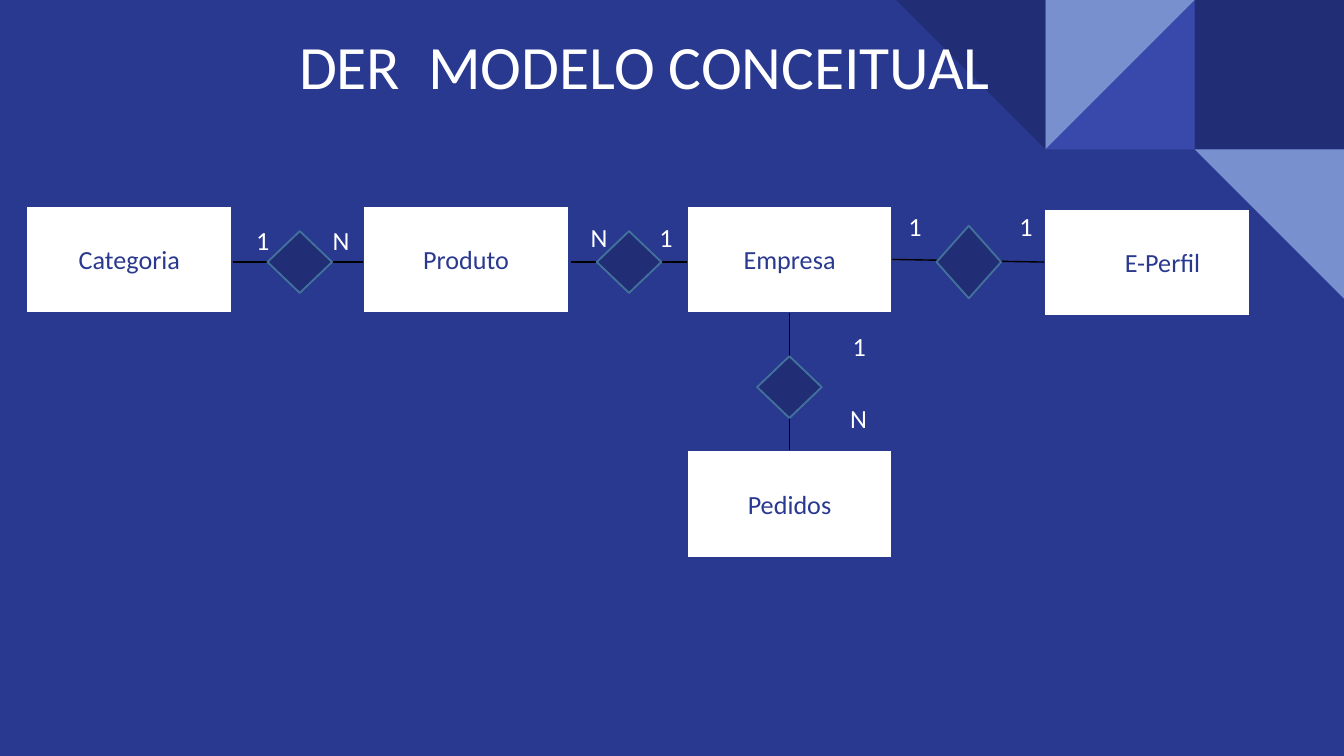
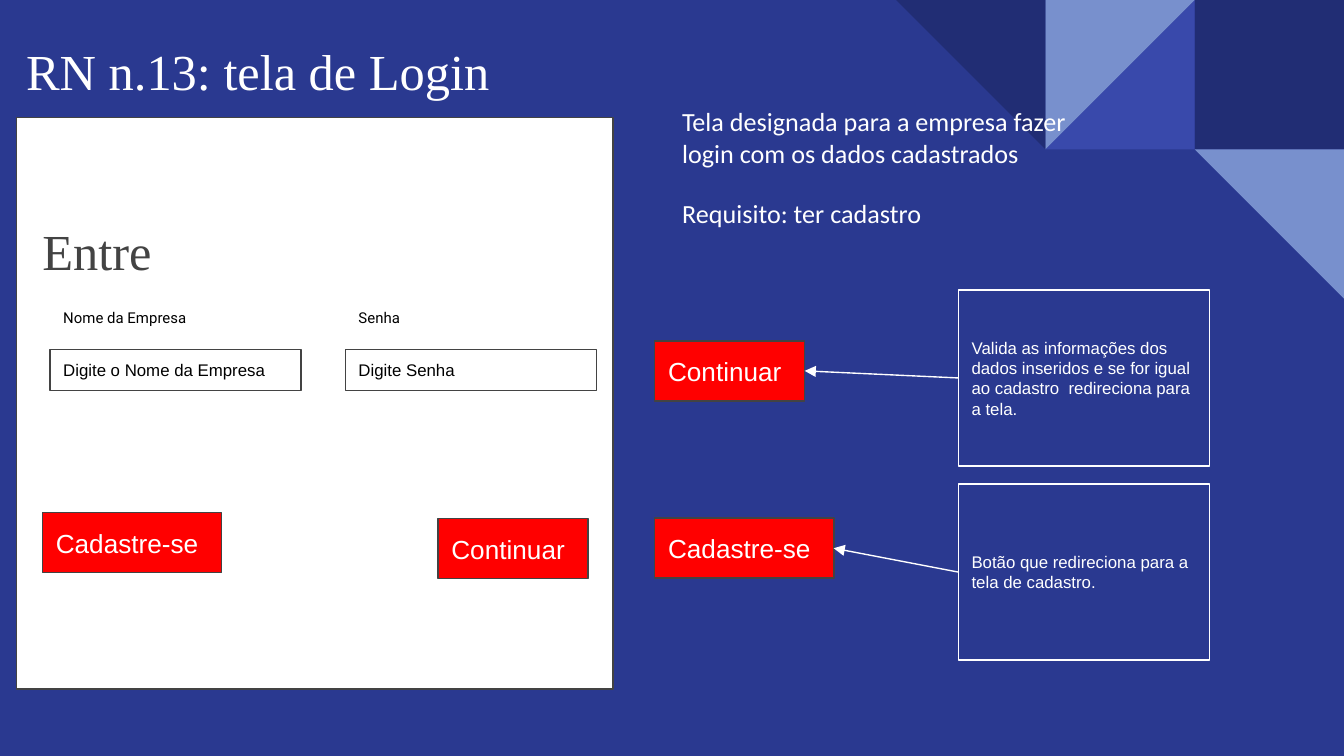
from lxml import etree
from pptx import Presentation
from pptx.dml.color import RGBColor
from pptx.enum.shapes import MSO_CONNECTOR, MSO_SHAPE
from pptx.enum.text import MSO_ANCHOR, PP_ALIGN
from pptx.oxml.ns import qn
from pptx.util import Pt

RECTANGLE = MSO_SHAPE.RECTANGLE
DIAMOND = MSO_SHAPE.DIAMOND
TRIANGLE = MSO_SHAPE.RIGHT_TRIANGLE
STRAIGHT = MSO_CONNECTOR.STRAIGHT
TOP, MIDDLE = MSO_ANCHOR.TOP, MSO_ANCHOR.MIDDLE
LEFT, CENTER = PP_ALIGN.LEFT, PP_ALIGN.CENTER

BLUE, NAVY, INDIGO, SKY = "2A3990", "212D74", "3949AB", "7890CD"
STEEL, GRAY, RED, WHITE, BLACK = "42719B", "434343", "FF0000", "FFFFFF", "000000"
SANS, SERIF, UI, CAPTION = "Calibri", "Times New Roman", "Arial", "Roboto"

TILE = 80
ENTITY_SIZE = (110.2, 57.6)
BUTTON_HEIGHT = 32.2
NARROW = (5.4, 2.7)
WIDE = (7.2, 7.2)


def rgb(color):
    return RGBColor.from_string(color)


class Deck:
    """Holds the shared style and the slide being filled."""

    def __init__(self):
        self.presentation = Presentation()
        self.presentation.slide_width = Pt(720)
        self.presentation.slide_height = Pt(405)
        self.slide = None

    def new_slide(self):
        self.slide = self.presentation.slides.add_slide(self.presentation.slide_layouts[6])
        background = self.slide.background.fill
        background.solid()
        background.fore_color.rgb = rgb(BLUE)
        corner = 720 - TILE
        self.shape(RECTANGLE, (corner, 0, TILE, TILE), NAVY)
        for column, row, color, rotation in (
            (1, 0, INDIGO, 270), (1, 0, SKY, 90), (2, 0, NAVY, 180), (0, 1, SKY, 180),
        ):
            box = (corner - column * TILE, row * TILE, TILE, TILE)
            self.shape(TRIANGLE, box, color).rotation = rotation

    def shape(self, kind, box, fill=None, line=None, width=0.75):
        shape = self.slide.shapes.add_shape(kind, *map(Pt, box))
        shape.shadow.inherit = False
        if fill:
            shape.fill.solid()
            shape.fill.fore_color.rgb = rgb(fill)
        else:
            shape.fill.background()
        if line:
            shape.line.color.rgb = rgb(line)
            shape.line.width = Pt(width)
        else:
            shape.line.fill.background()
        return shape

    def set_text(self, shape, text, size, font, color, inset=NARROW, anchor=MIDDLE,
                 align=LEFT, spacing=None):
        frame = shape.text_frame
        frame.word_wrap = True
        frame.vertical_anchor = anchor
        frame.margin_left = frame.margin_right = Pt(inset[0])
        frame.margin_top = frame.margin_bottom = Pt(inset[1])
        paragraph = frame.paragraphs[0]
        paragraph.text = text
        paragraph.alignment = align
        if spacing:
            paragraph.line_spacing = spacing
        paragraph.font.size = Pt(size)
        paragraph.font.name = font
        paragraph.font.color.rgb = rgb(color)

    def text(self, box, text, size=14, font=SANS, color=WHITE, **layout):
        layout.setdefault("anchor", TOP)
        textbox = self.slide.shapes.add_textbox(*map(Pt, box))
        self.set_text(textbox, text, size, font, color, **layout)

    def heading(self, box, text, color=WHITE):
        self.text(box, text, 27, SERIF, color, anchor=MIDDLE, spacing=0.9)

    def line(self, start, end, color=BLACK, arrow=False):
        connector = self.slide.shapes.add_connector(STRAIGHT, *map(Pt, start + end))
        connector.line.color.rgb = rgb(color)
        connector.line.width = Pt(0.75)
        properties = connector._element.spPr
        if arrow:
            etree.SubElement(properties.find(qn("a:ln")), qn("a:tailEnd"), type="triangle")
        etree.SubElement(properties, qn("a:effectLst"))

    def entity(self, left, top, name, align=CENTER, indent=0):
        box = self.shape(RECTANGLE, (left, top) + ENTITY_SIZE, WHITE, BLUE, 1)
        self.set_text(box, name, 14, SANS, BLUE, align=align)
        if indent:
            box.text_frame.margin_left = Pt(indent)

    def relationship(self, start, end, center, cardinalities, height=33.1):
        """Draws a line, its diamond, and (left, top, mark) cardinalities."""
        self.line(start, end)
        x, y = center
        width = 34.6
        self.shape(DIAMOND, (x - width / 2, y - height / 2, width, height), NAVY, STEEL, 1)
        for left, top, mark in cardinalities:
            self.text((left, top, 19.4, 22.3), mark)

    def button(self, left, top, width, label):
        box = self.shape(RECTANGLE, (left, top, width, BUTTON_HEIGHT), RED, GRAY)
        self.set_text(box, label, 14, UI, WHITE, inset=WIDE)

    def form_field(self, left, label, hint):
        field = self.shape(RECTANGLE, (left, 187.4, 134.6, 22), WHITE, GRAY)
        self.set_text(field, hint, 9, UI, BLACK, inset=WIDE)
        self.text((left, 160.6, 134.6, 24.5), label, 8, CAPTION, BLACK, inset=WIDE)

    def callout(self, top, text, start, end):
        """Draws an outlined note and an arrow to the button it explains."""
        note = self.shape(RECTANGLE, (513.4, top, 134.6, 94.3), line=WHITE)
        self.set_text(note, text, 9, UI, WHITE, inset=WIDE)
        self.line(start, end, WHITE, arrow=True)


def build_conceptual_model(deck):
    deck.new_slide()
    deck.text((154.8, 12.2, 410.4, 45.4), "DER  MODELO CONCEITUAL", 33)
    for left, top, name in (
        (14.2, 110.2, "Categoria"), (194.6, 110.2, "Produto"),
        (367.9, 110.2, "Empresa"), (367.9, 241.2, "Pedidos"),
    ):
        deck.entity(left, top, name)
    deck.entity(559.6, 111.8, "E-Perfil", LEFT, indent=43)

    deck.relationship((124.6, 140.4), (194.4, 140.4), (160.6, 140.4),
                      ((131.8, 117.4, "1"), (172.8, 117.4, "N")))
    deck.relationship((306, 140.4), (367.9, 140.4), (337, 140.4),
                      ((311, 115.9, "N"), (347.8, 115.9, "1")))
    deck.relationship((422.9, 167.8), (422.9, 241.2), (422.9, 207.4),
                      ((451.4, 174.2, "1"), (450, 213.1, "N")))
    deck.relationship((478.1, 139), (559.4, 140.4), (519, 140.4),
                      ((481.3, 110.2, "1"), (540.7, 110.2, "1")), height=38.9)


def build_login_screen(deck):
    deck.new_slide()
    deck.text((360, 54, 227.5, 39.6),
              "Tela designada para a empresa fazer login com os dados cadastrados")
    deck.text((360, 103, 227.5, 22.3), "Requisito: ter cadastro")
    deck.heading((8.6, 0.7, 700, 78.5), "RN n.13: tela de Login")

    deck.shape(RECTANGLE, (8.8, 63, 319.7, 306.2), WHITE, GRAY)
    deck.heading((17.3, 108.7, 290.2, 54.7), "Entre", GRAY)
    deck.form_field(26.8, "Nome da Empresa", "Digite o Nome da Empresa")
    deck.form_field(185, "Senha", "Digite Senha")

    for left, top in ((234.7, 277.9), (350.8, 182.7)):
        deck.button(left, top, 80.3, "Continuar")
    for left, top in ((22.8, 274.6), (350.8, 277.6)):
        deck.button(left, top, 96, "Cadastre-se")

    deck.callout(155.4, "Valida as informações dos dados inseridos e se for igual "
                        "ao cadastro  redireciona para a tela.",
                 (513.4, 202.5), (431.1, 198.7))
    deck.callout(259.3, "Botão que redireciona para a tela de cadastro.",
                 (513.4, 306.5), (446.6, 293.7))


def main():
    deck = Deck()
    build_conceptual_model(deck)
    build_login_screen(deck)
    deck.presentation.save("out.pptx")


if __name__ == "__main__":
    main()
